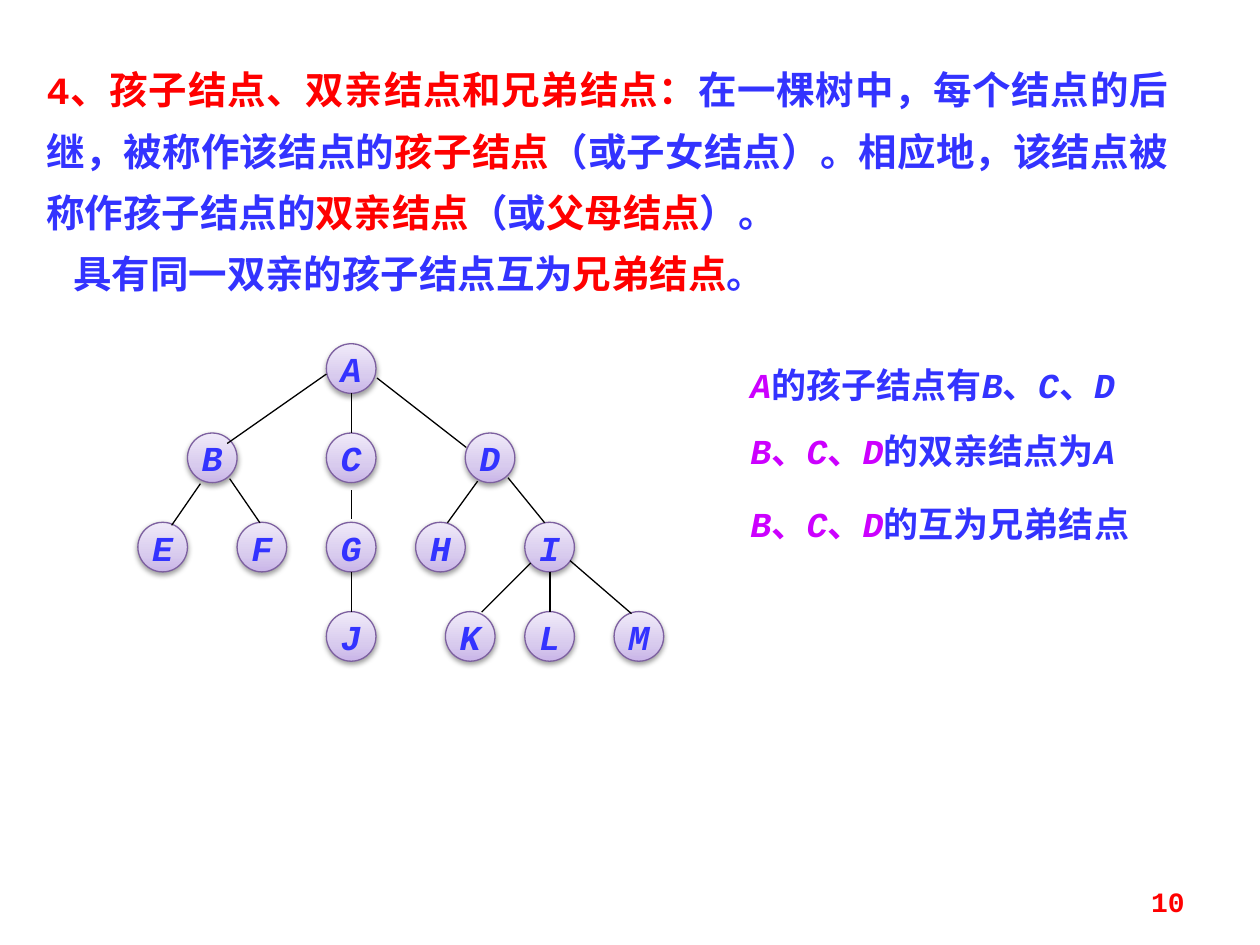
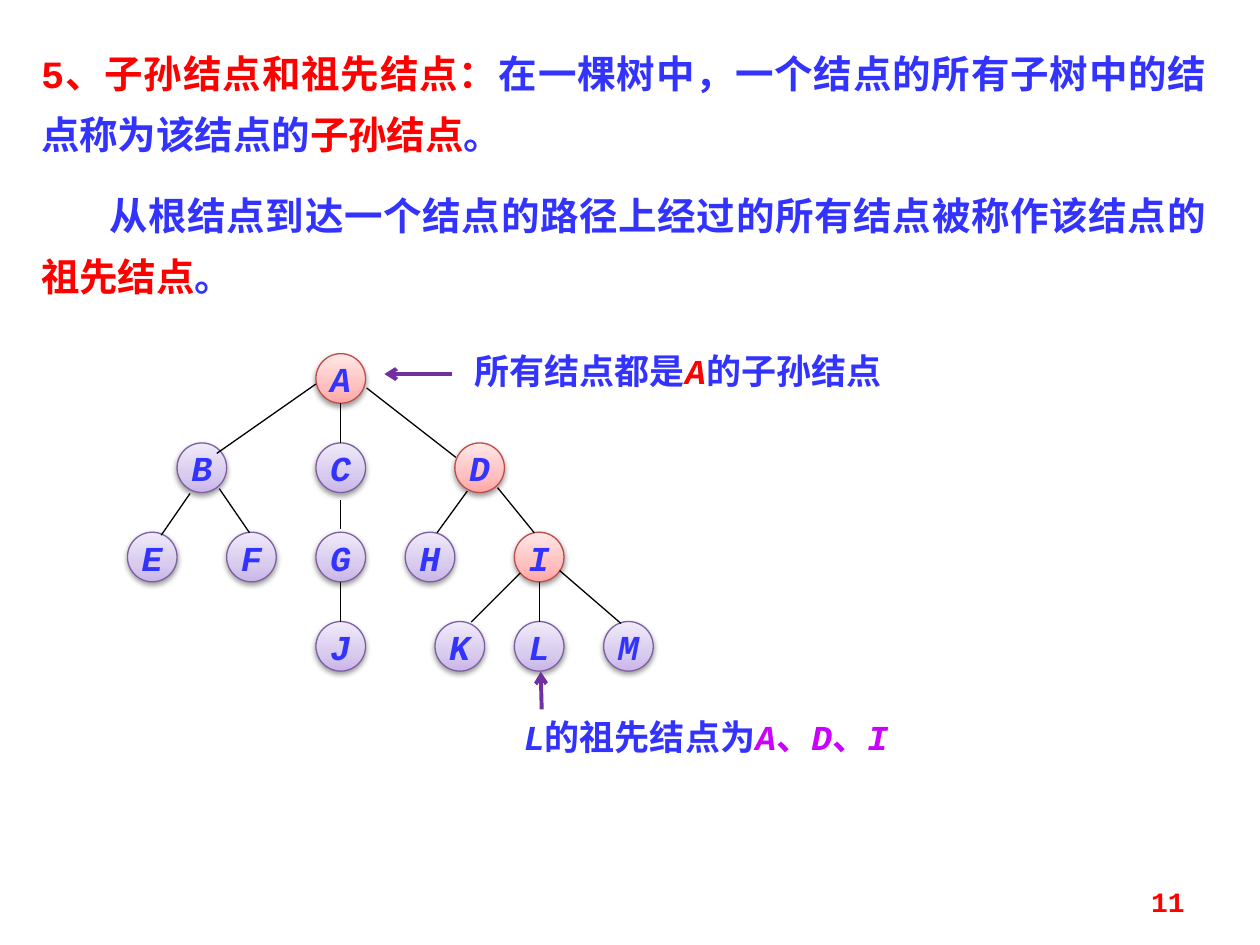
"""Builds two slides on family relations between the nodes of a tree."""
from copy import deepcopy

from lxml import etree
from pptx import Presentation
from pptx.dml.color import RGBColor
from pptx.enum.shapes import MSO_CONNECTOR, MSO_SHAPE
from pptx.enum.text import MSO_ANCHOR, MSO_AUTO_SIZE, PP_ALIGN
from pptx.oxml.ns import qn
from pptx.util import Cm, Pt

STRAIGHT = MSO_CONNECTOR.STRAIGHT
OVAL = MSO_SHAPE.OVAL
MIDDLE = MSO_ANCHOR.MIDDLE
GROW = MSO_AUTO_SIZE.SHAPE_TO_FIT_TEXT
LEFT, CENTER, RIGHT, JUSTIFY = PP_ALIGN.LEFT, PP_ALIGN.CENTER, PP_ALIGN.RIGHT, PP_ALIGN.JUSTIFY

FONT = "Courier New"
BLUE, RED, VIOLET = "3333FF", "FF0000", "CC00FF"
BLACK, PURPLE = "000000", "7030A0"
PLAIN_NODE = ("7D60A0", ("C9B5E8", "D8CBEE", "F0EAF9"))
MARKED_NODE = ("BF4C48", ("FFA6A5", "FFC0BF", "FFE7E7"))
GRADIENT_POSITIONS = (0, 0.35, 1)

NODE_SIZE = 1
LEVEL_STEP = 1.8
NODE_OFFSETS = {
    0: {"A": 0},
    1: {"B": -2.8, "C": 0, "D": 2.8},
    2: {"E": -3.8, "F": -1.8, "G": 0, "H": 1.8, "I": 4},
    3: {"J": 0, "K": 2.4, "L": 4, "M": 5.8},
}
EDGES = {
    "AB": (-0.5, 0.11, -2.5, 1.51),
    "AC": (0, 0.5, 0, 1.3),
    "AD": (0.52, 0.19, 2.32, 1.59),
    "BE": (-3.04, 2.32, -3.62, 3.16),
    "BF": (-2.45, 2.22, -1.84, 3.11),
    "CG": (0, 2.45, 0, 3.04),
    "DH": (2.55, 2.27, 1.94, 3.11),
    "DI": (3.16, 2.2, 3.9, 3.11),
    "GJ": (0, 4.1, 0, 4.9),
    "IK": (3.62, 3.92, 2.63, 4.91),
    "IL": (4.01, 4.1, 4.01, 4.9),
    "IM": (4.41, 3.87, 5.65, 4.94),
}


def color(value):
    return RGBColor.from_string(value)


def node_list(names, value):
    runs = [(name, value) for name in names]
    for position in range(len(names) - 1, 0, -1):
        runs.insert(position, ("、", value))
    return runs


class TreeDeck:
    def __init__(self):
        self.presentation = Presentation()
        self.presentation.slide_width = Cm(25.4)
        self.presentation.slide_height = Cm(19.05)
        self.slide = None

    def add_slide(self, number):
        self.slide = self.presentation.slides.add_slide(self.presentation.slide_layouts[6])
        frame = self.text_box(18.21, 17.65, 5.92, 1.02)
        frame.vertical_anchor = MIDDLE
        self.add_runs(frame.paragraphs[0], [(str(number), RED)], 16, RIGHT)

    def text_box(self, left, top, width, height):
        shape = self.slide.shapes.add_textbox(Cm(left), Cm(top), Cm(width), Cm(height))
        shape.text_frame.word_wrap = True
        return shape.text_frame

    def add_runs(self, paragraph, runs, size=20, alignment=LEFT):
        paragraph.alignment = alignment
        for text, value in runs:
            run = paragraph.add_run()
            run.text = text
            font = run.font
            font.name, font.size, font.bold = FONT, Pt(size), True
            font.italic = text.isascii() and text.isalpha()
            font.color.rgb = color(value)

    def label(self, left, top, runs):
        frame = self.text_box(left, top, 9.93, 1.12)
        frame.auto_size = GROW
        self.add_runs(frame.paragraphs[0], runs)

    def definition(self, box, first, second, indent, gap):
        frame = self.text_box(*box)
        frame.auto_size = GROW
        follower = frame.add_paragraph()
        follower.space_before = Pt(gap)
        follower._p.get_or_add_pPr().set("indent", str(Cm(indent)))
        for paragraph, runs in zip(frame.paragraphs, (first, second)):
            paragraph.line_spacing = Pt(35)
            self.add_runs(paragraph, runs, 22, JUSTIFY)

    def line(self, start_x, start_y, end_x, end_y, value=BLACK, width=0.75):
        connector = self.slide.shapes.add_connector(
            STRAIGHT, Cm(start_x), Cm(start_y), Cm(end_x), Cm(end_y))
        connector.line.color.rgb = color(value)
        connector.line.width = Pt(width)
        etree.SubElement(connector._element.spPr, qn("a:effectLst"))
        return connector

    def arrow(self, *ends):
        connector = self.line(*ends, PURPLE, 2.25)
        outline = connector._element.spPr.find(qn("a:ln"))
        etree.SubElement(outline, qn("a:tailEnd"), type="arrow")

    def node(self, name, center_x, center_y, style):
        outline, shades = style
        shape = self.slide.shapes.add_shape(
            OVAL, Cm(center_x - NODE_SIZE / 2), Cm(center_y - NODE_SIZE / 2),
            Cm(NODE_SIZE), Cm(NODE_SIZE))
        self.gradient(shape, shades)
        shape.line.color.rgb = color(outline)
        shape.line.width = Pt(0.75)
        self.soft_shadow(shape)
        frame = shape.text_frame
        frame.word_wrap = False
        frame.vertical_anchor = MIDDLE
        self.add_runs(frame.paragraphs[0], [(name, BLUE)], alignment=CENTER)

    def gradient(self, shape, shades):
        shape.fill.gradient()
        shape.fill.gradient_angle = 90
        stop_list = shape._element.spPr.find(qn("a:gradFill")).find(qn("a:gsLst"))
        stop_list.append(deepcopy(stop_list[0]))
        for stop, position, shade in zip(shape.fill.gradient_stops, GRADIENT_POSITIONS, shades):
            stop.position = position
            stop.color.rgb = color(shade)

    def soft_shadow(self, shape):
        shape.shadow.inherit = False
        effects = shape._element.spPr.find(qn("a:effectLst"))
        shadow = etree.SubElement(
            effects, qn("a:outerShdw"), blurRad=str(Pt(3.1)), dist=str(Pt(1.6)),
            dir="5400000", rotWithShape="0")
        shade = etree.SubElement(shadow, qn("a:srgbClr"), val=BLACK)
        etree.SubElement(shade, qn("a:alpha"), val="38000")

    def tree(self, root_x, root_y, marked=""):
        for level, offsets in NODE_OFFSETS.items():
            for name, offset in offsets.items():
                style = MARKED_NODE if name in marked else PLAIN_NODE
                self.node(name, root_x + offset, root_y + level * LEVEL_STEP, style)
        for start_x, start_y, end_x, end_y in EDGES.values():
            self.line(root_x + start_x, root_y + start_y, root_x + end_x, root_y + end_y)


def children_and_siblings(deck):
    deck.add_slide(10)
    deck.definition(
        (0.69, 0.91, 23.11, 5.23),
        [("4、孩子结点、双亲结点和兄弟结点：", RED),
         ("在一棵树中，每个结点的后继，被称作该结点的", BLUE),
         ("孩子结点", RED),
         ("（或子女结点）。相应地，该结点被称作孩子结点的", BLUE),
         ("双亲结点", RED), ("（或", BLUE), ("父母结点", RED), ("）。", BLUE)],
        [("具有同一双亲的孩子结点互为", BLUE), ("兄弟结点", RED), ("。", BLUE)],
        indent=0.54, gap=0)
    deck.tree(7.08, 7.43)
    siblings = node_list("BCD", VIOLET)
    deck.label(14.88, 7.21, [("A", VIOLET), ("的孩子结点有", BLUE)] + node_list("BCD", BLUE))
    deck.label(14.88, 8.53, siblings + [("的双亲结点为", BLUE), ("A", BLUE)])
    deck.label(14.88, 10.01, siblings + [("的互为兄弟结点", BLUE)])


def descendants_and_ancestors(deck):
    deck.add_slide(11)
    deck.definition(
        (0.58, 0.58, 24, 5.77),
        [("5、子孙结点和祖先结点：", RED),
         ("在一棵树中，一个结点的所有子树中的结点称为该结点的", BLUE),
         ("子孙结点", RED), ("。", BLUE)],
        [("从根结点到达一个结点的路径上经过的所有结点被称作该结点的", BLUE),
         ("祖先结点", RED), ("。", BLUE)],
        indent=1.37, gap=11)
    deck.tree(6.87, 7.63, marked="ADI")
    deck.label(9.32, 6.93, [("所有结点都是", BLUE), ("A", RED), ("的子孙结点", BLUE)])
    deck.label(10.31, 14.3, [("L", BLUE), ("的祖先结点为", BLUE)] + node_list("ADI", VIOLET))
    deck.arrow(9.12, 7.54, 7.75, 7.54)
    deck.arrow(10.92, 14.3, 10.9, 13.54)


def main():
    deck = TreeDeck()
    children_and_siblings(deck)
    descendants_and_ancestors(deck)
    deck.presentation.save("out.pptx")


if __name__ == "__main__":
    main()
